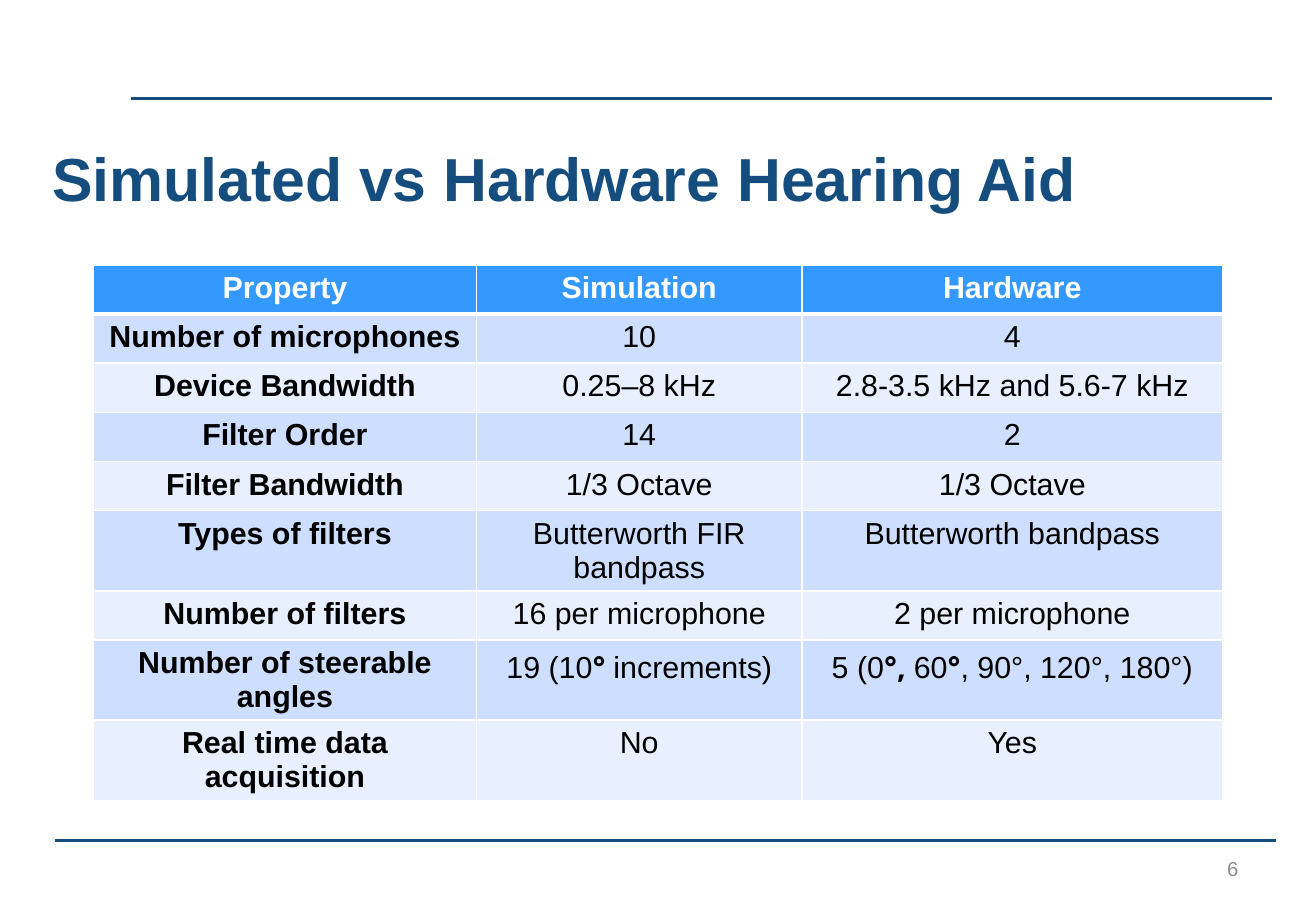
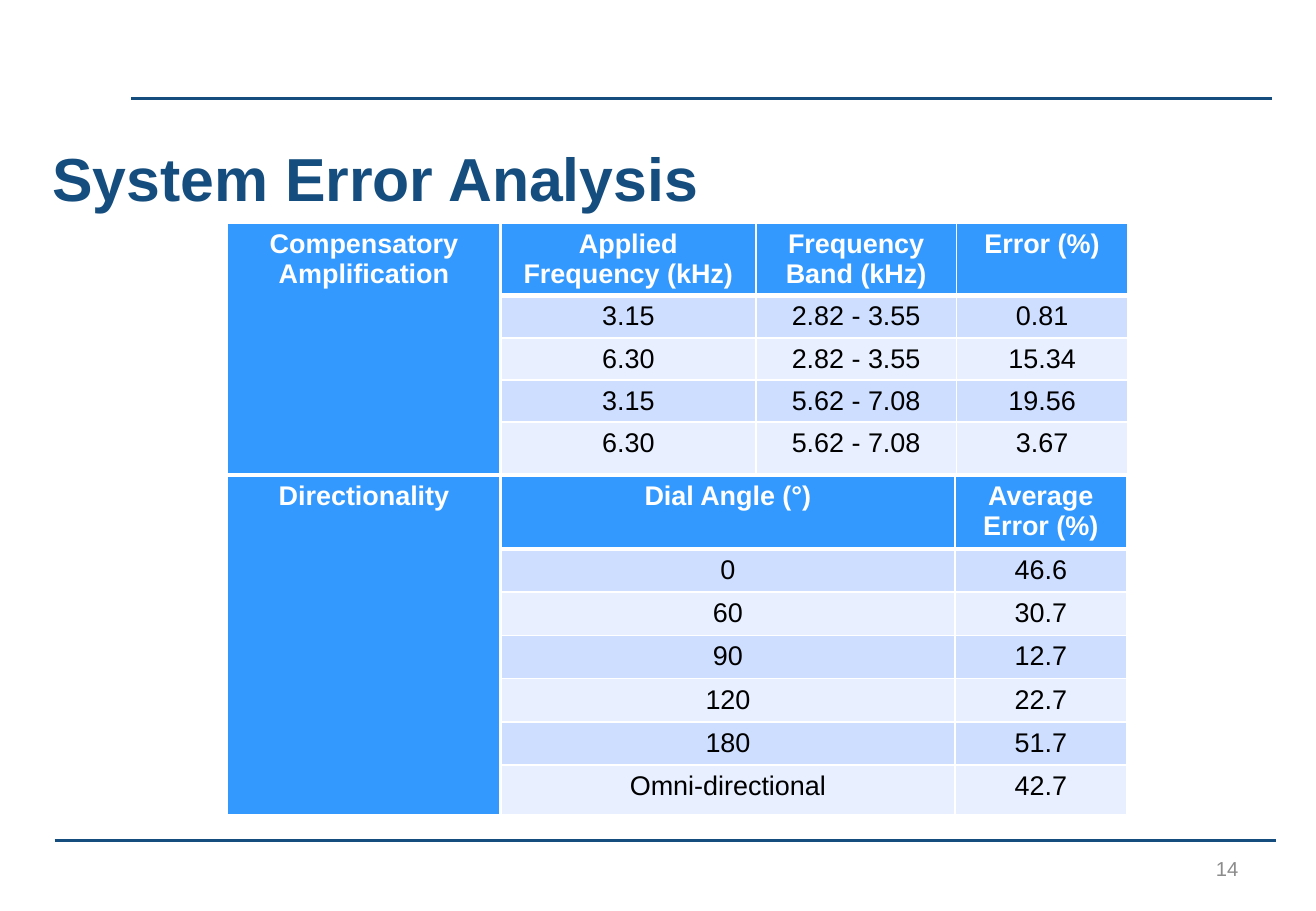
from dataclasses import dataclass

from lxml.etree import SubElement
from pptx import Presentation
from pptx.dml.color import RGBColor
from pptx.enum.shapes import MSO_CONNECTOR
from pptx.enum.text import MSO_ANCHOR, MSO_AUTO_SIZE, PP_ALIGN
from pptx.oxml.ns import qn
from pptx.util import Inches, Pt

COLORS = {
    "navy": "154E7E",
    "header": "3399FF",
    "band": "CEDEFF",
    "pale": "E8EFFF",
    "white": "FFFFFF",
    "black": "000000",
    "grey": "8C8C8C",
}
WIDTH, HEIGHT = Inches(10.83), Inches(7.5)
GRID = 100
THIN, MEDIUM, THICK = 1, 2.25, 3


@dataclass(frozen=True)
class Rule:
    left: float
    right: float
    row: float
    weight: float


@dataclass(frozen=True)
class Grid:
    left: float
    top: float
    cols: list[float]
    rows: list[float]
    cells: list[list[str]]
    size: int
    side: str = ""
    top_border: float = THIN


@dataclass(frozen=True)
class Page:
    title: str
    number: str
    grids: list[Grid]


RULES = [Rule(4.16, 96.95, 92.27, 2.25), Rule(9.97, 96.68, 10.8, 2)]
TITLE_BOX = (3.51, 15.2, 84.58, 8.53)
NUMBER_BOX = (71.65, 92.67, 23.36, 5.33)

PAGES = [
    Page("Simulated vs Hardware Hearing Aid", "6", [
        Grid(7.11, 29.07, [29.09, 24.75, 31.95],
             [5.4] * 5 + [8.8, 5.4, 8.8, 8.8], [
                 ["Property", "Simulation", "Hardware"],
                 ["Number of microphones", "10", "4"],
                 ["Device Bandwidth", "0.25–8 kHz", "2.8-3.5 kHz and 5.6-7 kHz"],
                 ["Filter Order", "14", "2"],
                 ["Filter Bandwidth", "1/3 Octave", "1/3 Octave"],
                 ["Types of filters", "Butterworth FIR bandpass", "Butterworth bandpass"],
                 ["Number of filters", "16 per microphone", "2 per microphone"],
                 ["Number of steerable angles", "19 (10|° |increments)",
                  "5 (0|°, |60|°|, 90°, 120°, 180°)"],
                 ["Real time data acquisition", "No", "Yes"],
             ], 18),
    ]),
    Page("System Error Analysis", "14", [
        Grid(17.27, 24.53, [20.78, 19.39, 15.24, 13.02],
             [7.87, 4.6, 4.6, 4.6, 5.6], [
                 ["Applied Frequency (kHz)", "Frequency Band (kHz)", "Error (%)"],
                 ["3.15", "2.82 - 3.55", "0.81"],
                 ["6.30", "2.82 - 3.55", "15.34"],
                 ["3.15", "5.62 - 7.08", "19.56"],
                 ["6.30", "5.62 - 7.08", "3.67"],
             ], 16, "Compensatory Amplification"),
        Grid(17.27, 52.13, [20.78, 34.53, 13.02],
             [8.13] + [4.75] * 5 + [5.4], [
                 ["Dial Angle (°)", "Average Error (%)"],
                 ["0", "46.6"],
                 ["60", "30.7"],
                 ["90", "12.7"],
                 ["120", "22.7"],
                 ["180", "51.7"],
                 ["Omni-directional", "42.7"],
             ], 16, "Directionality", MEDIUM),
    ]),
]


def rgb(name: str) -> RGBColor:
    return RGBColor.from_string(COLORS[name])


def x(cols: float) -> int:
    return round(WIDTH * cols / GRID)


def y(rows: float) -> int:
    return round(HEIGHT * rows / GRID)


def box(left: float, top: float, width: float, height: float) -> tuple:
    return x(left), y(top), x(width), y(height)


def apply(target, values: dict) -> None:
    for name, value in values.items():
        setattr(target, name, value)


def write(p, text: str, size: int, color: str, bold: bool, align) -> None:
    p.alignment = align
    for i, part in enumerate(text.split("|")):
        accent = i % 2 == 1
        r = p.add_run()
        r.text = part
        apply(r.font, {
            "name": "Open Sans" if accent else "Arial",
            "size": Pt(size),
            "bold": bold or accent,
        })
        r.font.color.rgb = rgb(color)


def draw_rule(s, rule: Rule) -> None:
    line = s.shapes.add_connector(MSO_CONNECTOR.STRAIGHT, x(rule.left), y(rule.row),
                                  x(rule.right), y(rule.row))
    line.line.color.rgb = rgb("navy")
    line.line.width = Pt(rule.weight)
    SubElement(line._element.spPr, qn("a:effectLst"))


def set_borders(cell, borders: dict[str, float]) -> None:
    tc_pr = cell._tc.get_or_add_tcPr()
    for i, (side, weight) in enumerate(borders.items()):
        ln = tc_pr.makeelement(qn(f"a:ln{side}"), {"w": str(Pt(weight))})
        SubElement(SubElement(ln, qn("a:solidFill")), qn("a:srgbClr"), val=COLORS["white"])
        tc_pr.insert(i, ln)


def draw_grid(s, grid: Grid) -> None:
    sp = s.shapes.add_table(len(grid.rows), len(grid.cols),
                            *box(grid.left, grid.top, sum(grid.cols), sum(grid.rows)))
    table = sp.table
    apply(table, {"first_row": False, "horz_banding": False})
    for column, width in zip(table.columns, grid.cols):
        column.width = x(width)
    for row, height in zip(table.rows, grid.rows):
        row.height = y(height)
    for i, texts in enumerate(grid.cells):
        if grid.side:
            texts = [grid.side if i == 0 else "", *texts]
        for j, text in enumerate(texts):
            in_side = bool(grid.side) and j == 0
            is_header = i == 0 or in_side
            cell = table.cell(i, j)
            cell.fill.solid()
            cell.fill.fore_color.rgb = rgb("header" if is_header else "band" if i % 2 else "pale")
            set_borders(cell, {
                "L": MEDIUM if grid.side and j == 1 else THIN,
                "R": MEDIUM if in_side else THIN,
                "T": grid.top_border if i == 0 else THICK if i == 1 and not in_side else THIN,
                "B": THICK if i == 0 and not in_side else THIN,
            })
            if text:
                write(cell.text_frame.paragraphs[0], text, grid.size,
                      "white" if is_header else "black", is_header or j == 0 and not grid.side,
                      PP_ALIGN.CENTER)
    if grid.side:
        table.cell(0, 0).merge(table.cell(len(grid.rows) - 1, 0))


def draw_title(s, text: str) -> None:
    sp = s.shapes.title
    apply(sp, dict(zip(("left", "top", "width", "height"), box(*TITLE_BOX))))
    tf = sp.text_frame
    apply(tf, {
        "margin_left": Inches(0.05), "margin_right": Inches(0.05),
        "margin_top": Inches(0.02), "margin_bottom": Inches(0.02),
        "word_wrap": True, "auto_size": MSO_AUTO_SIZE.NONE,
        "vertical_anchor": MSO_ANCHOR.MIDDLE,
    })
    write(tf.paragraphs[0], text, 36, "navy", True, PP_ALIGN.LEFT)


def draw_number(s, text: str) -> None:
    tf = s.shapes.add_textbox(*box(*NUMBER_BOX)).text_frame
    apply(tf, {"word_wrap": True, "vertical_anchor": MSO_ANCHOR.MIDDLE})
    write(tf.paragraphs[0], text, 12, "grey", False, PP_ALIGN.RIGHT)


def draw_page(prs, page: Page) -> None:
    s = prs.slides.add_slide(prs.slide_layouts[5])
    for rule in RULES:
        draw_rule(s, rule)
    draw_title(s, page.title)
    for grid in page.grids:
        draw_grid(s, grid)
    draw_number(s, page.number)


def main() -> None:
    prs = Presentation()
    apply(prs, {"slide_width": WIDTH, "slide_height": HEIGHT})
    for page in PAGES:
        draw_page(prs, page)
    prs.save("out.pptx")


if __name__ == "__main__":
    main()
